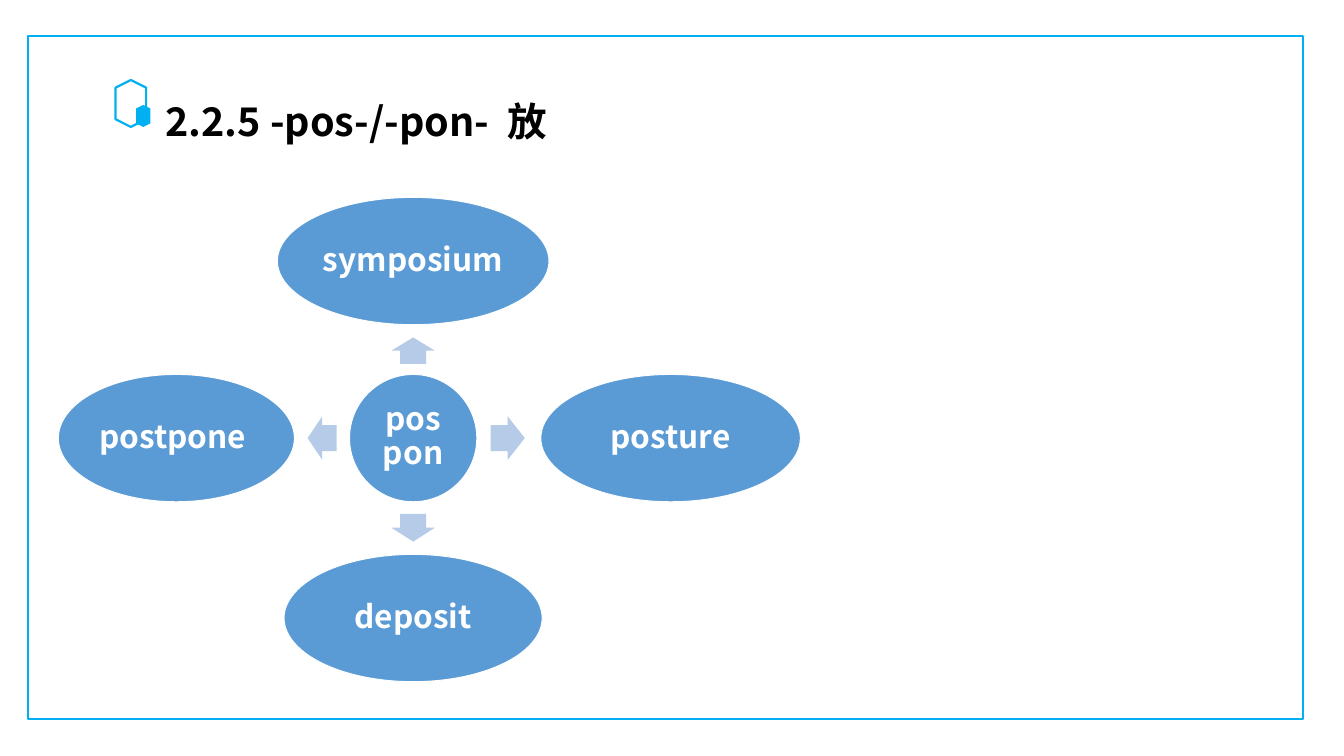
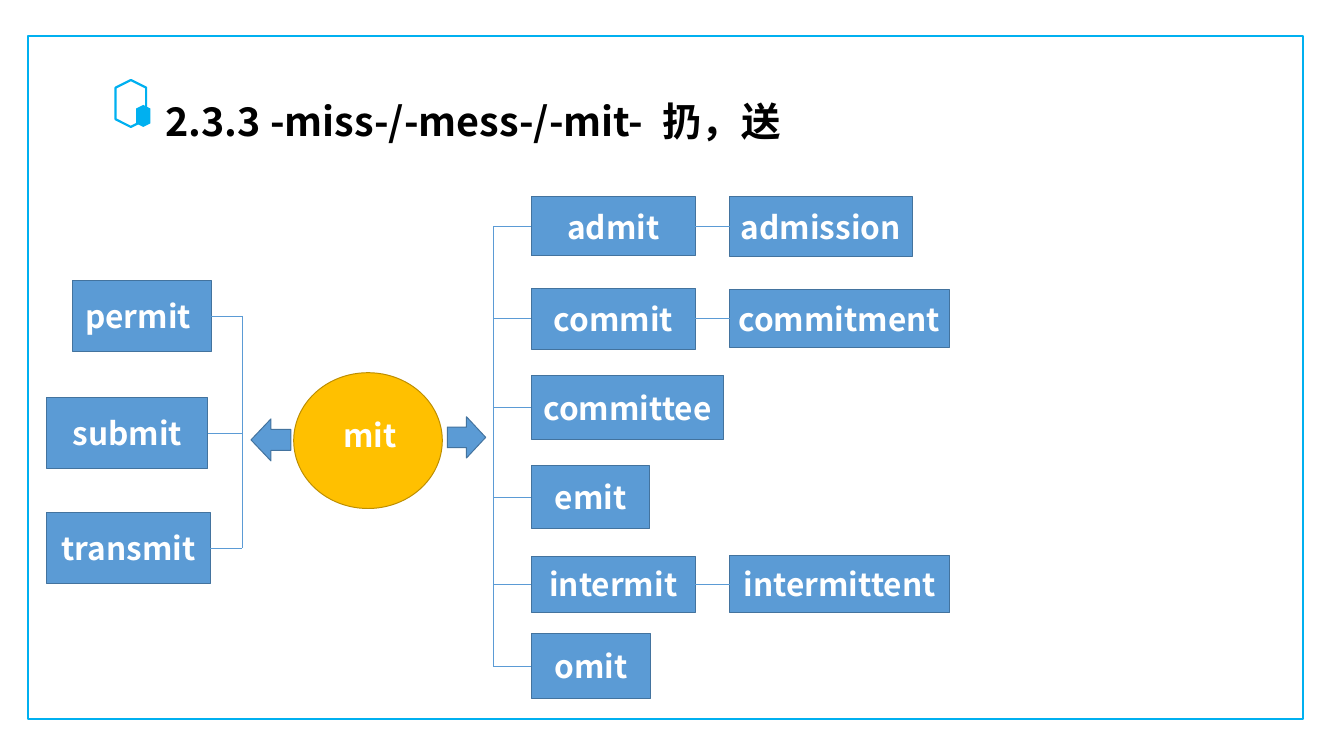
from math import cos, radians, sin

from lxml import etree
from pptx import Presentation
from pptx.dml.color import RGBColor
from pptx.enum.shapes import MSO_CONNECTOR, MSO_SHAPE
from pptx.enum.text import MSO_ANCHOR, PP_ALIGN
from pptx.oxml.ns import qn
from pptx.util import Emu, Pt

PX = 9144  # EMU per px, 100 px to the inch
W, H = 1890, 1063
FONT = "Noto Sans CJK SC"

CYAN = RGBColor(0x00, 0xB0, 0xF0)
BLUE = RGBColor(0x5B, 0x9B, 0xD5)
DARK_BLUE = RGBColor(0x43, 0x73, 0x9E)
PALE_BLUE = RGBColor(0xB5, 0xCB, 0xE7)
GOLD = RGBColor(0xFF, 0xC0, 0x00)
DARK_GOLD = RGBColor(0xBD, 0x8E, 0x00)
WHITE = RGBColor(0xFF, 0xFF, 0xFF)
BLACK = RGBColor(0x00, 0x00, 0x00)

STRAIGHT = MSO_CONNECTOR.STRAIGHT
RECT, OVAL, HEXAGON = MSO_SHAPE.RECTANGLE, MSO_SHAPE.OVAL, MSO_SHAPE.HEXAGON
CIRCLE = MSO_SHAPE.FLOWCHART_CONNECTOR
RIGHT_ARROW, LEFT_ARROW = MSO_SHAPE.RIGHT_ARROW, MSO_SHAPE.LEFT_ARROW
MIDDLE, CENTER = MSO_ANCHOR.MIDDLE, PP_ALIGN.CENTER
LEFT_SIDE, RIGHT_SIDE = 1, 3  # connection sites of a rectangle


def emu(*lengths):
    return [Emu(round(v * PX)) for v in lengths]


def style(r, size, color):
    r.font.name, r.font.size, r.font.bold = FONT, Pt(size), True
    r.font.color.rgb = color
    etree.SubElement(r.font._element, qn("a:ea"), typeface=FONT)


def add_shape(s, kind, box, fill=None, line=None, weight=1, angle=0):
    sp = s.shapes.add_shape(kind, *emu(*box))
    sp.shadow.inherit = False
    sp.rotation = angle
    if fill is None:
        sp.fill.background()
    else:
        sp.fill.solid()
        sp.fill.fore_color.rgb = fill
    if line is None:
        sp.line.fill.background()
    else:
        sp.line.color.rgb = line
        sp.line.width = Pt(weight)
    return sp


def set_label(sp, text, insets=(10, 5, 10, 5), spacing=None, after=0):
    tf = sp.text_frame
    tf.word_wrap = True
    tf.vertical_anchor = MIDDLE
    (tf.margin_left, tf.margin_top,
     tf.margin_right, tf.margin_bottom) = emu(*insets)
    tf.text = text
    for p in tf.paragraphs:
        p.alignment = CENTER
        p.line_spacing = spacing
        p.space_after = Pt(after)
        style(p.runs[0], 32, WHITE)


def add_line(s, x1, y1, x2, y2):
    ln = s.shapes.add_connector(STRAIGHT, *emu(x1, y1, x2, y2))
    ln.line.color.rgb = BLUE
    ln.line.width = Pt(0.5)
    etree.SubElement(ln._element.spPr, qn("a:effectLst"))
    return ln


def add_title(s, x, y, w, root, meaning):
    # Hexagon mark
    add_shape(s, HEXAGON, (x, y, 66, 43), line=CYAN, weight=2.25, angle=90)
    add_shape(s, HEXAGON, (x + 35, y + 29, 31, 20), fill=CYAN, angle=90)
    # Heading, with a widened space before the meaning
    tf = s.shapes.add_textbox(*emu(x + 72, y + 8, w, 77)).text_frame
    tf.word_wrap = False
    p = tf.paragraphs[0]
    for text in (root, " ", meaning):
        r = p.add_run()
        r.text = text
        style(r, 40, BLACK)
    p.runs[1].font._element.set("spc", "1000")


def new_slide(prs, title_width, root, meaning):
    s = prs.slides.add_slide(prs.slide_layouts[6])
    add_shape(s, RECT, (39, 51, 1793, 960), line=CYAN, weight=2.25)
    add_title(s, 151, 124, title_width, root, meaning)
    return s


def add_radial(s, cx, cy, hub, spokes):
    """Hub centred on cx, cy with a word at the end of each arrow."""
    size = 179

    def add_node(x, y, w, text, spacing):
        sp = add_shape(s, OVAL, (x - w / 2, y - size / 2, w, size), BLUE, WHITE)
        set_label(sp, text, (4, 4, 4, 4), spacing, after=4)

    add_node(cx, cy, size, hub, 0.8)
    for text, angle, reach, width, arrow_reach, length in spokes:
        ux, uy = cos(radians(angle)), sin(radians(angle))
        ax, ay = cx + ux * arrow_reach, cy + uy * arrow_reach
        arrow = add_shape(s, RIGHT_ARROW,
                          (ax - length / 2, ay - 30.5, length, 61),
                          PALE_BLUE, angle=angle)
        arrow.adjustments[0] = 0.6
        add_node(cx + ux * reach, cy + uy * reach, width, text, 0.9)


def add_card(s, box, text):
    sp = add_shape(s, RECT, box, BLUE, DARK_BLUE)
    set_label(sp, text)
    return sp


def add_branch(s, x, y, spine, side, cards):
    """Cards at x, y joined by their given side to a vertical spine."""
    middles = []
    for text, dx, dy, w, h, derived in cards:
        card = add_card(s, (x + dx, y + dy, w, h), text)
        mid = y + dy + h / 2
        middles.append(mid)
        add_line(s, x + dx, mid, x + spine, mid).begin_connect(card, side)
        if derived:
            word, dw, dh = derived
            child = add_card(s, (x + 333, mid - dh / 2, dw, dh), word)
            ln = add_line(s, x + dx + w, mid, x + 333, mid)
            ln.begin_connect(card, RIGHT_SIDE)
            ln.end_connect(child, LEFT_SIDE)
    add_line(s, x + spine, middles[0], x + spine, middles[-1])


def add_core(s, x, y, text):
    """Circle at x, y with an arrow to each side."""
    core = add_shape(s, CIRCLE, (x, y, 209, 191), GOLD, DARK_GOLD)
    set_label(core, text, (15, 5, 10, 20))
    add_shape(s, RIGHT_ARROW, (x + 216, y + 62, 54, 58), BLUE, DARK_BLUE)
    add_shape(s, LEFT_ARROW, (x - 60, y + 65, 56, 59), BLUE, DARK_BLUE)


def main():
    prs = Presentation()
    prs.slide_width, prs.slide_height = emu(W, H)

    # Root pos / pon: word, angle, reach, width, arrow reach, arrow length
    s = new_slide(prs, 582, "2.2.5 -pos-/-pon-", "放")
    add_radial(s, 581, 616, "pos\npon", [
        ("symposium ", 270, 249, 382, 123, 37),
        ("posture", 0, 362, 365, 133, 48),
        ("deposit", 90, 253, 363, 126, 39),
        ("postpone ", 180, 333, 332, 128, 41),
    ])

    # Root mit: word, left, top, width, height, derived word
    s = new_slide(prs, 920, "2.3.3 -miss-/-mess-/-mit-", "扔，送")
    add_core(s, 413, 524, "mit")
    add_branch(s, 66, 394, 275, RIGHT_SIDE, [
        ("permit ", 36, 0, 195, 100, None),
        ("submit", 0, 165, 226, 100, None),
        ("transmit", 0, 327, 230, 100, None),
    ])
    add_branch(s, 693, 276, 0, LEFT_SIDE, [
        ("admit", 54, 1, 231, 83, ("admission", 257, 84)),
        ("commit", 54, 129, 231, 86, ("commitment", 309, 81)),
        ("committee", 54, 252, 271, 90, None),
        ("emit", 54, 379, 167, 88, None),
        ("intermit", 54, 506, 231, 79, ("intermittent", 310, 80)),
        ("omit", 54, 615, 168, 91, None),
    ])

    prs.save("out.pptx")


if __name__ == "__main__":
    main()
